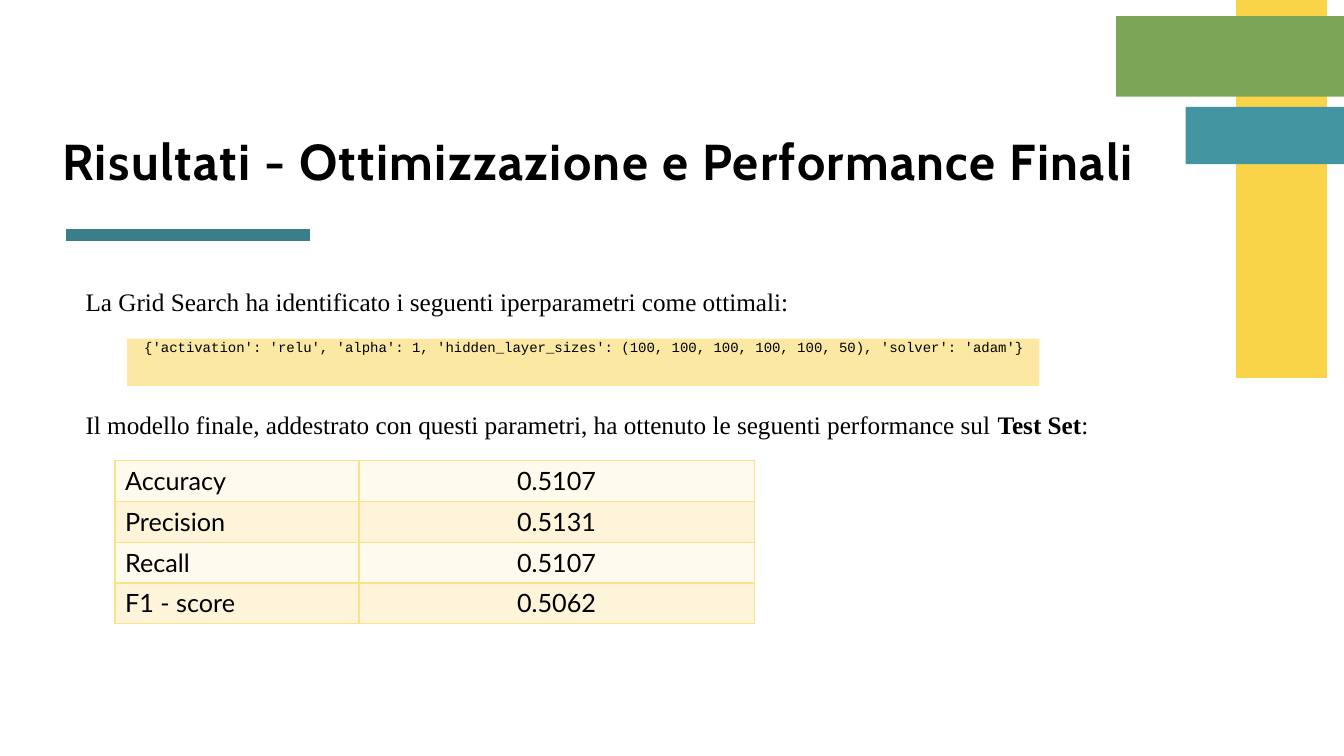
from dataclasses import dataclass

from lxml.etree import SubElement
from pptx import Presentation
from pptx.dml.color import RGBColor
from pptx.enum.shapes import MSO_SHAPE
from pptx.enum.text import MSO_ANCHOR, PP_ALIGN
from pptx.oxml.ns import qn
from pptx.shapes.autoshape import Shape
from pptx.slide import Slide
from pptx.table import _Cell
from pptx.text.text import TextFrame, _Paragraph
from pptx.util import Emu, Pt

PX = 9144
BLACK = "000000"
BORDER = "FBE284"
BANDS = ("FEFAED", "FDF4D9")
COLUMNS = (242, 392)

TITLE_FONT = {"name": "Cabin", "size": Pt(36), "bold": True}
BODY_FONT = {"name": "Times New Roman", "size": Pt(18), "bold": False}
TERM_FONT = BODY_FONT | {"bold": True}
CODE_FONT = {"name": "Courier New", "size": Pt(10)}
SCORE_FONT = {"name": "Lato", "size": Pt(18), "bold": False}

SCORES = (
    ("Accuracy", "0.5107"),
    ("Precision", "0.5131"),
    ("Recall", "0.5107"),
    ("F1 - score", "0.5062"),
)
PARAMETERS = (
    "{'activation': 'relu', 'alpha': 1, 'hidden_layer_sizes': "
    "(100, 100, 100, 100, 100, 50), 'solver': 'adam'}"
)


@dataclass(frozen=True)
class Box:
    left: int
    top: int
    width: int
    height: int

    def emu(self) -> tuple[Emu, ...]:
        return tuple(px(n) for n in (self.left, self.top, self.width, self.height))


@dataclass(frozen=True)
class Block:
    box: Box
    fill: str
    outline: str = ""


TITLE_RULE = Block(Box(65, 227, 243, 13), "397E89", "FFFFFF")
CORNER = (
    Block(Box(1226, -2, 90, 377), "F9D448"),
    Block(Box(1107, 16, 227, 80), "7CA655"),
    Block(Box(1176, 106, 157, 57), "4495A2"),
)
CODE_PANEL = Block(Box(126, 336, 905, 47), "F9D448")


def px(count: int) -> Emu:
    return Emu(count * PX)


def color(value: str) -> RGBColor:
    return RGBColor.from_string(value)


def apply(target: object, values: dict) -> None:
    for key, value in values.items():
        setattr(target, key, value)


def write(paragraph: _Paragraph, text: str, font: dict, spacing: int = 0) -> None:
    run = paragraph.add_run()
    run.text = text
    apply(run.font, font)
    run.font.color.rgb = color(BLACK)
    if spacing:
        run.font._element.set("spc", str(spacing))


def draw_block(slide: Slide, block: Block) -> Shape:
    shape = slide.shapes.add_shape(MSO_SHAPE.RECTANGLE, *block.box.emu())
    shape.shadow.inherit = False
    shape.fill.solid()
    shape.fill.fore_color.rgb = color(block.fill)
    if block.outline:
        shape.line.color.rgb = color(block.outline)
        shape.line.width = Pt(1)
    else:
        shape.line.fill.background()
    return shape


def add_text(slide: Slide, box: Box, layout: dict) -> TextFrame:
    frame = slide.shapes.add_textbox(*box.emu()).text_frame
    apply(frame, layout)
    return frame


def draw_title(slide: Slide) -> None:
    margins = dict.fromkeys(
        ("margin_left", "margin_top", "margin_right", "margin_bottom"), 0
    )
    layout = {"word_wrap": True, "vertical_anchor": MSO_ANCHOR.BOTTOM} | margins
    heading = add_text(slide, Box(62, 89, 1200, 100), layout).paragraphs[0]
    heading.line_spacing = 0.8
    write(heading, "Risultati - Ottimizzazione e Performance Finali", TITLE_FONT, 100)


def draw_body(slide: Slide) -> None:
    layout = {"word_wrap": False, "vertical_anchor": MSO_ANCHOR.MIDDLE}
    body = add_text(slide, Box(75, 279, 1025, 162), layout)
    write(
        body.paragraphs[0],
        "La Grid Search ha identificato i seguenti iperparametri come ottimali:",
        BODY_FONT,
    )
    outcome = body.add_paragraph()
    outcome.space_before = Pt(66)
    write(
        outcome,
        "Il modello finale, addestrato con questi parametri, "
        "ha ottenuto le seguenti performance sul ",
        BODY_FONT,
    )
    write(outcome, "Test Set", TERM_FONT)
    write(outcome, ":", BODY_FONT)


def draw_borders(cell: _Cell) -> None:
    properties = cell._tc.get_or_add_tcPr()
    for index, side in enumerate(("lnL", "lnR", "lnT", "lnB")):
        line = properties.makeelement(qn(f"a:{side}"), {"w": str(Pt(1))})
        solid = SubElement(line, qn("a:solidFill"))
        SubElement(solid, qn("a:srgbClr"), val=BORDER)
        properties.insert(index, line)


def draw_scores(slide: Slide) -> None:
    box = Box(114, 457, sum(COLUMNS), 162)
    table = slide.shapes.add_table(len(SCORES), len(COLUMNS), *box.emu()).table
    apply(table, {"first_row": False, "horz_banding": False})
    for column, width in zip(table.columns, COLUMNS):
        column.width = px(width)
    for row, score in enumerate(SCORES):
        for column, text in enumerate(score):
            cell = table.cell(row, column)
            cell.fill.solid()
            cell.fill.fore_color.rgb = color(BANDS[row % 2])
            draw_borders(cell)
            paragraph = cell.text_frame.paragraphs[0]
            paragraph.alignment = PP_ALIGN.CENTER if column else PP_ALIGN.LEFT
            write(paragraph, text, SCORE_FONT)


def draw_parameters(slide: Slide) -> None:
    panel = draw_block(slide, CODE_PANEL)
    tint = panel.fill._xPr.find(f".//{qn('a:srgbClr')}")
    SubElement(tint, qn("a:alpha"), val="50000")
    layout = {
        "margin_left": px(17),
        "margin_top": 0,
        "margin_right": 0,
        "margin_bottom": 0,
        "vertical_anchor": MSO_ANCHOR.TOP,
        "word_wrap": True,
    }
    apply(panel.text_frame, layout)
    code = panel.text_frame.paragraphs[0]
    code.alignment = PP_ALIGN.LEFT
    write(code, PARAMETERS, CODE_FONT)


def main() -> None:
    """Build the slide of final model results and save it."""
    deck = Presentation()
    apply(deck, {"slide_width": px(1333), "slide_height": px(750)})
    slide = deck.slides.add_slide(deck.slide_layouts[6])
    draw_title(slide)
    draw_block(slide, TITLE_RULE)
    draw_body(slide)
    draw_scores(slide)
    for block in CORNER:
        draw_block(slide, block)
    draw_parameters(slide)
    deck.save("out.pptx")


if __name__ == "__main__":
    main()
